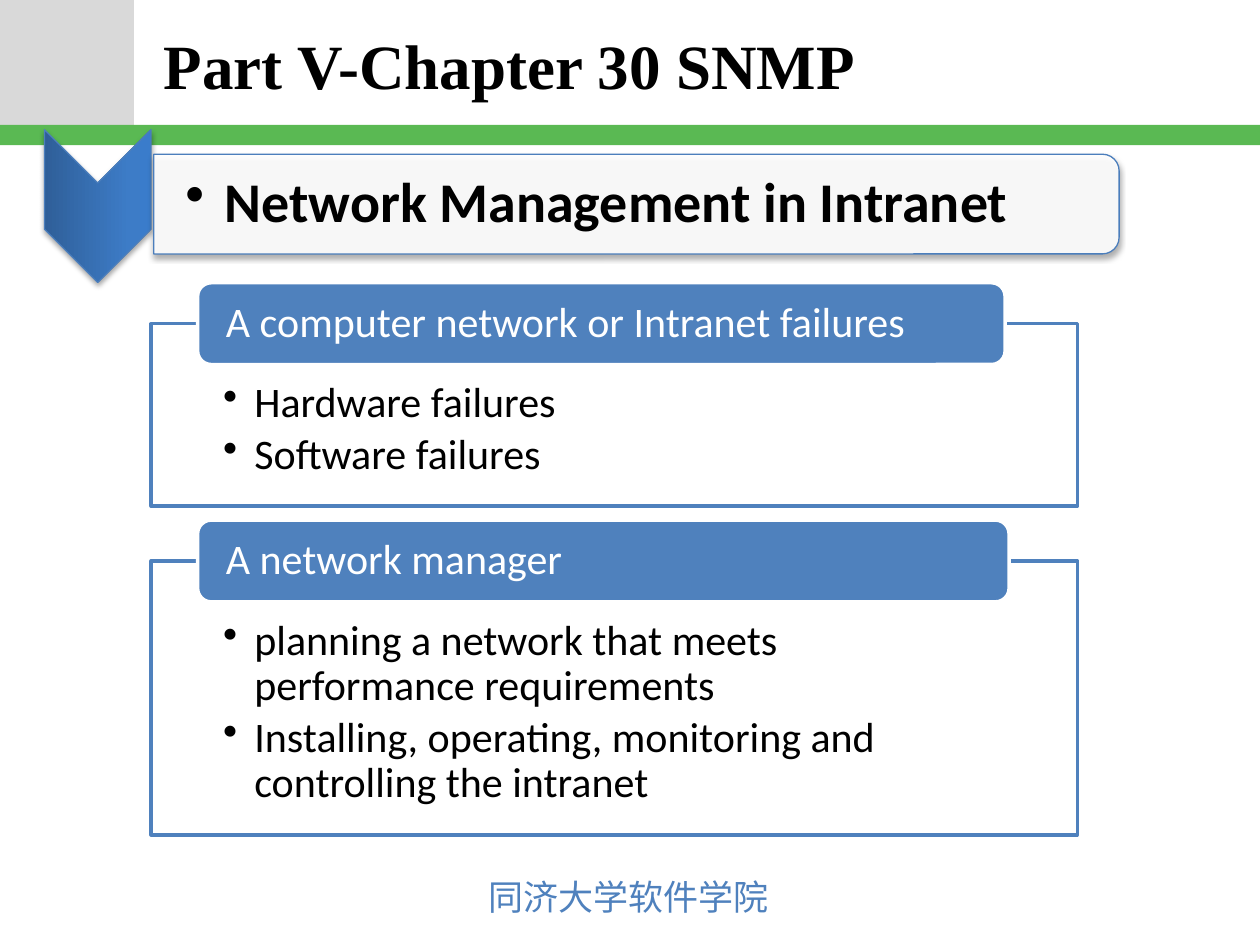
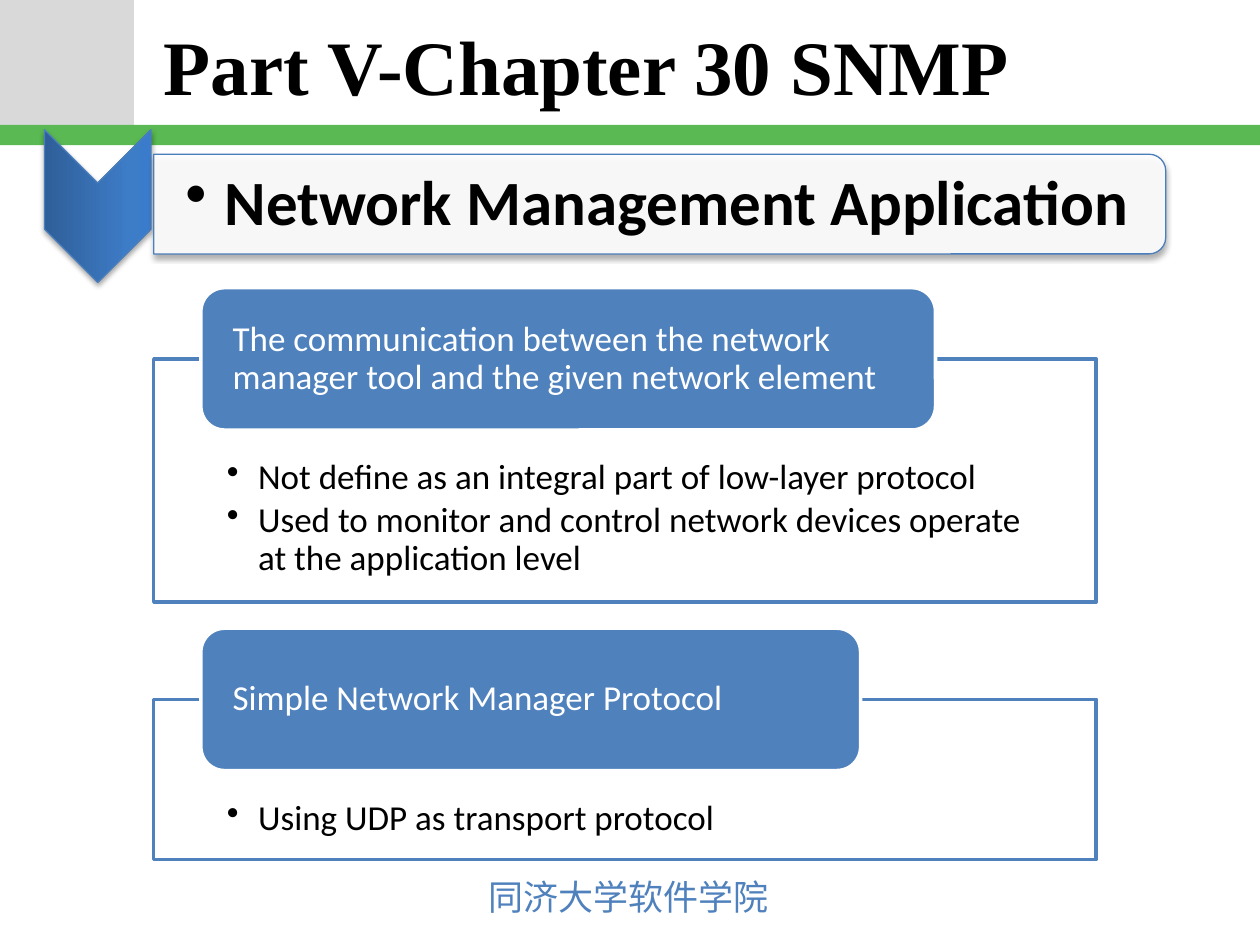
from lxml.etree import SubElement
from pptx import Presentation
from pptx.dml.color import RGBColor
from pptx.enum.shapes import MSO_SHAPE
from pptx.enum.text import MSO_ANCHOR, MSO_AUTO_SIZE, PP_ALIGN
from pptx.oxml import parse_xml
from pptx.oxml.ns import nsdecls, qn
from pptx.util import Cm, Pt

BLUE, EDGE, GREEN, GREY = "4F81BD", "4B7EBC", "5AB953", "D9D9D9"
WHITE, BLACK = "FFFFFF", "000000"
CHEVRON_STOPS = [(0, "2F5F99"), (80, "3D7CC7"), (100, "3A7CCB")]
BODY_FONT, TITLE_FONT, FOOTER_FONT = "Calibri", "Times New Roman", "Noto Sans CJK JP"


def color(value):
    return RGBColor.from_string(value)


class Slides:
    """Holds the deck style and the current page, with a method per element."""

    def __init__(self):
        self.deck = Presentation()
        self.deck.slide_width, self.deck.slide_height = Cm(25.4), Cm(19.05)
        self.page = None

    def new_page(self, title, title_size):
        self.page = self.deck.slides.add_slide(self.deck.slide_layouts[5])
        self.shape(MSO_SHAPE.RECTANGLE, 0, 0, 2.7, 2.52, GREY)
        self.shape(MSO_SHAPE.RECTANGLE, 0, 2.52, 25.4, 0.41, GREEN)
        self.title(title, title_size)
        self.footer("同济大学软件学院")

    def title(self, text, size):
        box = self.page.shapes.title
        box.left, box.top, box.width, box.height = Cm(3.05), Cm(0.05), Cm(21.84), Cm(2.49)
        box.text_frame.auto_size = MSO_AUTO_SIZE.NONE
        self.set_text(box, [text], size, BLACK, TITLE_FONT, bold=True)

    def footer(self, text):
        box = self.page.shapes.add_textbox(Cm(9.6), Cm(17.53), Cm(6.22), Cm(1.12))
        self.set_text(box, [text], 20, BLUE, FOOTER_FONT, anchor=MSO_ANCHOR.TOP)
        box.text_frame.word_wrap = False
        font = box.text_frame.paragraphs[0].runs[0].font
        SubElement(font._element, qn("a:ea"), typeface=FOOTER_FONT)

    def shape(self, kind, left, top, width, height, fill, line=None, weight=2, alpha=None):
        shape = self.page.shapes.add_shape(kind, Cm(left), Cm(top), Cm(width), Cm(height))
        shape.shadow.inherit = False
        shape.fill.solid()
        shape.fill.fore_color.rgb = color(fill)
        if alpha:
            paint = shape._element.spPr.find(qn("a:solidFill"))[0]
            SubElement(paint, qn("a:alpha"), val=str(alpha * 1000))
        if line:
            shape.line.color.rgb = color(line)
            shape.line.width = Pt(weight)
        else:
            shape.line.fill.background()
        return shape

    def drop_shadow(self, shape):
        effects = shape._element.spPr.find(qn("a:effectLst"))
        shadow = SubElement(effects, qn("a:outerShdw"), blurRad="40000", dist="23000",
                            dir="5400000", rotWithShape="0")
        paint = SubElement(shadow, qn("a:srgbClr"), val=BLACK)
        SubElement(paint, qn("a:alpha"), val="35000")

    def gradient(self, shape, stops):
        marks = "".join(f'<a:gs pos="{position * 1000}"><a:srgbClr val="{value}"/></a:gs>'
                        for position, value in stops)
        properties = shape._element.spPr
        properties.replace(properties.find(qn("a:solidFill")), parse_xml(
            f'<a:gradFill {nsdecls("a")} rotWithShape="1"><a:gsLst>{marks}</a:gsLst>'
            '<a:lin ang="16200000" scaled="0"/></a:gradFill>'))

    def set_text(self, box, texts, size, ink, font=BODY_FONT, bold=False,
                 anchor=MSO_ANCHOR.MIDDLE, insets=None, indent=None, spacing=None):
        frame = box.text_frame
        frame.word_wrap = True
        frame.vertical_anchor = anchor
        if insets:
            (frame.margin_left, frame.margin_top,
             frame.margin_right, frame.margin_bottom) = map(Cm, insets)
        for index, text in enumerate(texts):
            para = frame.add_paragraph() if index else frame.paragraphs[0]
            para.text = text
            para.alignment = PP_ALIGN.LEFT
            para.line_spacing = spacing
            if indent:
                para.space_after = Pt(size * 0.15)
                properties = para._p.get_or_add_pPr()
                properties.set("marL", str(Cm(indent)))
                properties.set("indent", str(-Cm(indent)))
                SubElement(properties, qn("a:buChar"), char="•")
            para.font.name, para.font.size, para.font.bold = font, Pt(size), bold
            para.font.color.rgb = color(ink)

    def banner(self, text, size, length):
        chevron = self.shape(MSO_SHAPE.CHEVRON, 0.43, 3.08, 3.08, 2.15, BLUE, EDGE, 0.75)
        left, top, height = 3.1, 3.11, 2.01
        shift = (length - height) / 2
        bar = self.shape(MSO_SHAPE.ROUND_2_SAME_RECTANGLE, left + shift, top - shift,
                         height, length, WHITE, EDGE, 0.75, alpha=90)
        self.gradient(chevron, CHEVRON_STOPS)
        for part in (chevron, bar):
            part.rotation = 90
            self.drop_shadow(part)
        box = self.page.shapes.add_textbox(Cm(left), Cm(3.23), Cm(length - 0.08), Cm(1.8))
        self.set_text(box, [text], size, BLACK, bold=True,
                      insets=(0.64, 0.05, 0.05, 0.05), indent=0.79, spacing=0.9)

    def labelled_frames(self, sections, size, left, top, width, label_height, gap, bottom):
        side, label_side = width * 0.0776, width * 0.0263
        for label, label_width, frame_height, bullets in sections:
            frame_top = top + label_height / 2
            frame = self.shape(MSO_SHAPE.RECTANGLE, left, frame_top, width, frame_height,
                               WHITE, BLUE, alpha=90)
            self.set_text(frame, bullets, size, BLACK, anchor=MSO_ANCHOR.TOP,
                          insets=(side, label_height * 0.708, side, bottom),
                          indent=0.63, spacing=0.9)
            tab = self.shape(MSO_SHAPE.ROUNDED_RECTANGLE, left + width * 0.05, top,
                             label_width, label_height, BLUE, WHITE)
            self.set_text(tab, [label], size, WHITE,
                          insets=(label_side, 0, label_side, 0), spacing=0.9)
            top = frame_top + frame_height + gap


def main():
    slides = Slides()
    chapter = "Part V-Chapter 30 SNMP"

    slides.new_page(chapter, 36)
    slides.banner("Network Management in Intranet", 32, 19.46)
    slides.labelled_frames([
        ("A computer network or Intranet failures", 16.28, 3.68,
         ["Hardware failures", "Software failures"]),
        ("A network manager", 16.36, 5.52,
         ["planning a network that meets performance requirements",
          "Installing, operating, monitoring and controlling the intranet"]),
    ], size=24, left=3.05, top=5.7, width=18.67, label_height=1.65, gap=0.28, bottom=0.48)

    slides.new_page(chapter, 44)
    slides.banner("Network Management Application", 36, 20.4)
    slides.labelled_frames([
        ("The communication between the network manager tool and the given network element",
         14.81, 4.9,
         ["Not define as an integral part of low-layer protocol",
          "Used to monitor and control network devices operate at the application level"]),
        ("Simple Network Manager Protocol", 13.3, 3.23,
         ["Using UDP as transport protocol"]),
    ], size=20, left=3.1, top=5.8, width=19, label_height=2.87, gap=0.53, bottom=0.41)

    slides.deck.save("out.pptx")


if __name__ == "__main__":
    main()
